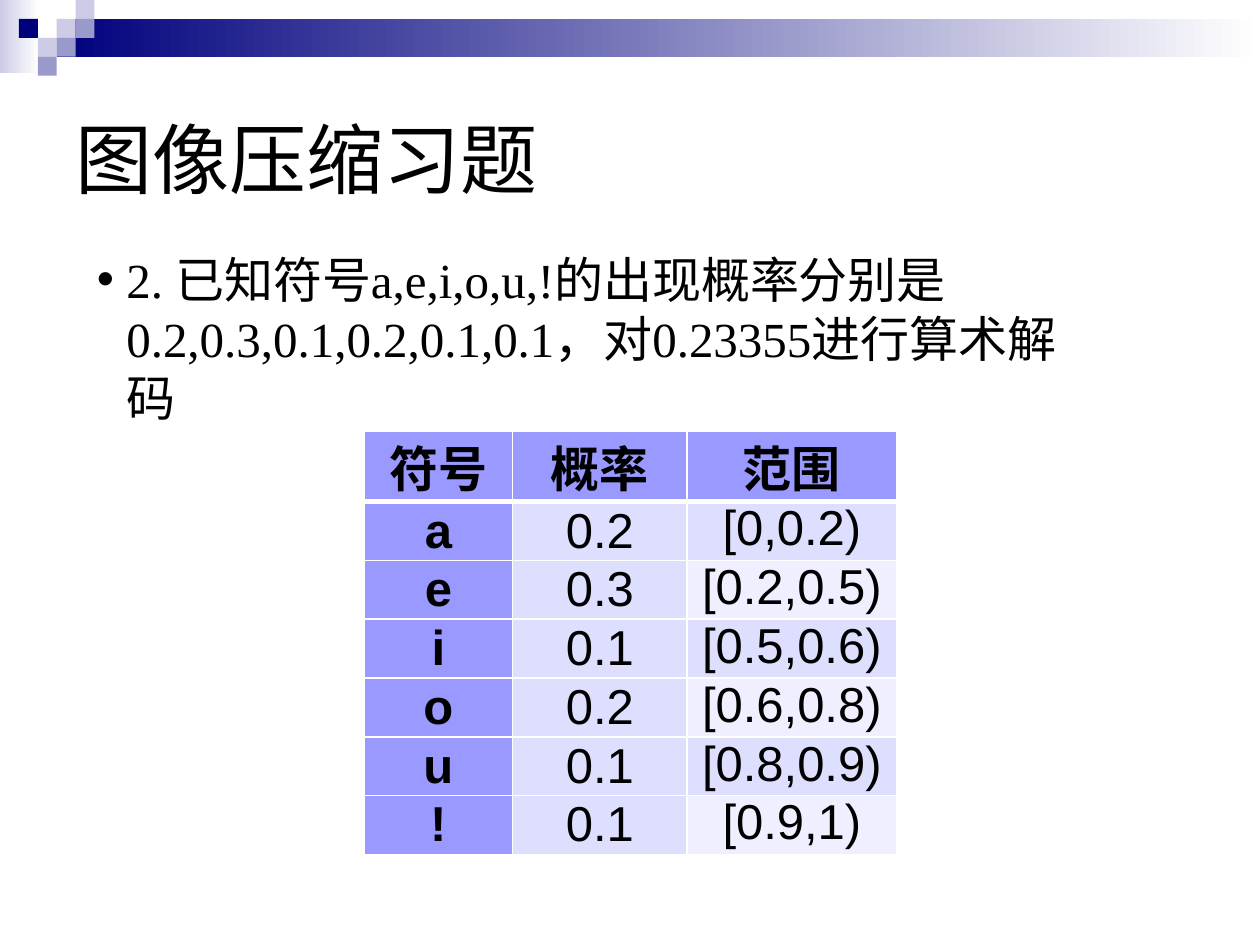
from dataclasses import dataclass

from lxml.etree import SubElement
from pptx import Presentation
from pptx.dml.color import RGBColor
from pptx.enum.shapes import MSO_SHAPE
from pptx.enum.text import MSO_ANCHOR, MSO_AUTO_SIZE, PP_ALIGN
from pptx.oxml.ns import qn
from pptx.util import Pt


@dataclass(frozen=True)
class Theme:
    ink: str = "000000"
    white: str = "FFFFFF"
    navy: str = "00007D"
    lavender: str = "CCCCE6"
    violet: str = "9999CC"
    header: str = "9999FF"
    band_dark: str = "DEDEFF"
    band_light: str = "EFEFFF"
    title_size: int = 44
    text_size: int = 28
    sans: str = "Arial"
    serif: str = "Times New Roman"


THEME = Theme()
SQUARE = 10.8
# column, row, colour on a grid of small squares
SQUARES = [
    (3, 1, THEME.lavender), (4, 0, THEME.lavender), (4, 1, THEME.violet),
    (2, 2, THEME.lavender), (1, 1, THEME.navy), (3, 2, THEME.violet),
    (2, 3, THEME.violet),
]
TITLE = "图像压缩习题"
QUESTION = ("2. 已知符号a,e,i,o,u,!的出现概率分别是"
            "0.2,0.3,0.1,0.2,0.1,0.1，对0.23355进行算术解码")
ROWS = [
    ("符号", "概率", "范围"),
    ("a", "0.2", "[0,0.2)"),
    ("e", "0.3", "[0.2,0.5)"),
    ("i", "0.1", "[0.5,0.6)"),
    ("o", "0.2", "[0.6,0.8)"),
    ("u", "0.1", "[0.8,0.9)"),
    ("!", "0.1", "[0.9,1)"),
]
COLUMN_WIDTHS = (85, 99.5, 120)
ROW_HEIGHT = 33.6


def apply_format(target, values):
    for name, value in values.items():
        setattr(target, name, value)


def write_text(frame, text, font, size, align, bold=False):
    paragraph = frame.paragraphs[0]
    apply_format(paragraph, {"alignment": align, "space_before": Pt(0)})
    run = paragraph.add_run()
    run.text = text
    apply_format(run.font, {"name": font, "size": Pt(size), "bold": bold})
    run.font.color.rgb = RGBColor.from_string(THEME.ink)
    return paragraph


def place(shape, left, top, width, height):
    apply_format(shape, {"left": Pt(left), "top": Pt(top),
                         "width": Pt(width), "height": Pt(height)})


def add_block(slide, left, top, width, height, *colors):
    """Add a borderless rectangle; two colours make a left-to-right gradient."""
    block = slide.shapes.add_shape(
        MSO_SHAPE.RECTANGLE, Pt(left), Pt(top), Pt(width), Pt(height))
    block.shadow.inherit = False
    block.line.fill.background()
    if len(colors) == 1:
        block.fill.solid()
        block.fill.fore_color.rgb = RGBColor.from_string(colors[0])
        return
    block.fill.gradient()
    block.fill.gradient_angle = 0
    for stop, color in zip(block.fill.gradient_stops, colors):
        stop.color.rgb = RGBColor.from_string(color)


def add_banner(slide):
    add_block(slide, 0, 0, 22.3, 41.8, THEME.lavender, THEME.white)
    add_block(slide, 3 * SQUARE, SQUARE, 687.6, 2 * SQUARE,
              THEME.navy, THEME.white)
    for column, row, color in SQUARES:
        add_block(slide, column * SQUARE, row * SQUARE, SQUARE, SQUARE, color)


def fill_title(title):
    place(title, 36, 36, 648, 108)
    apply_format(title.text_frame, {"vertical_anchor": MSO_ANCHOR.MIDDLE,
                                    "auto_size": MSO_AUTO_SIZE.NONE})
    write_text(title.text_frame, TITLE, THEME.sans, THEME.title_size,
               PP_ALIGN.LEFT)


def fill_question(body):
    place(body, 48.2, 142.5, 576, 108.7)
    apply_format(body.text_frame, {
        "vertical_anchor": MSO_ANCHOR.TOP, "word_wrap": True,
        "auto_size": MSO_AUTO_SIZE.NONE, "margin_top": 0})
    paragraph = write_text(body.text_frame, QUESTION, THEME.serif,
                           THEME.text_size, PP_ALIGN.LEFT)
    properties = paragraph._p.get_or_add_pPr()
    properties.set("marL", str(Pt(16.8)))
    properties.set("indent", str(-Pt(16.8)))
    SubElement(properties, qn("a:buFont"), typeface=THEME.sans)
    SubElement(properties, qn("a:buChar"), char="•")


def set_borders(cell, widths):
    properties = cell._tc.get_or_add_tcPr()
    for position, (side, width) in enumerate(widths.items()):
        line = SubElement(properties, qn(f"a:ln{side}"), w=str(Pt(width)))
        fill = SubElement(line, qn("a:solidFill"))
        SubElement(fill, qn("a:srgbClr"), val=THEME.white)
        properties.insert(position, line)


def cell_color(row, column):
    if row == 0 or column == 0:
        return THEME.header
    if column == 2 and row % 2 == 0:
        return THEME.band_light
    return THEME.band_dark


def add_symbol_table(slide):
    table = slide.shapes.add_table(
        len(ROWS), len(COLUMN_WIDTHS), Pt(208), Pt(246.2),
        Pt(sum(COLUMN_WIDTHS)), Pt(ROW_HEIGHT * len(ROWS))).table
    for column, width in zip(table.columns, COLUMN_WIDTHS):
        column.width = Pt(width)
    for row, texts in enumerate(ROWS):
        table.rows[row].height = Pt(ROW_HEIGHT)
        for column, text in enumerate(texts):
            cell = table.cell(row, column)
            apply_format(cell, {
                "margin_left": Pt(5), "margin_right": Pt(5),
                "margin_top": 0, "margin_bottom": 0,
                "vertical_anchor":
                    MSO_ANCHOR.TOP if column == 2 else MSO_ANCHOR.MIDDLE})
            write_text(cell.text_frame, text, THEME.sans, THEME.text_size,
                       PP_ALIGN.CENTER, bold=row == 0 or column == 0)
            cell.fill.solid()
            cell.fill.fore_color.rgb = RGBColor.from_string(
                cell_color(row, column))
            set_borders(cell, {"L": 1, "R": 1, "T": 3 if row == 1 else 1,
                               "B": 3 if row == 0 else 1})


def main():
    presentation = Presentation()
    apply_format(presentation, {"slide_width": Pt(720),
                                "slide_height": Pt(540)})
    slide = presentation.slides.add_slide(presentation.slide_layouts[1])
    add_banner(slide)
    fill_title(slide.shapes.title)
    add_symbol_table(slide)
    fill_question(slide.placeholders[1])
    presentation.save("out.pptx")


if __name__ == "__main__":
    main()
